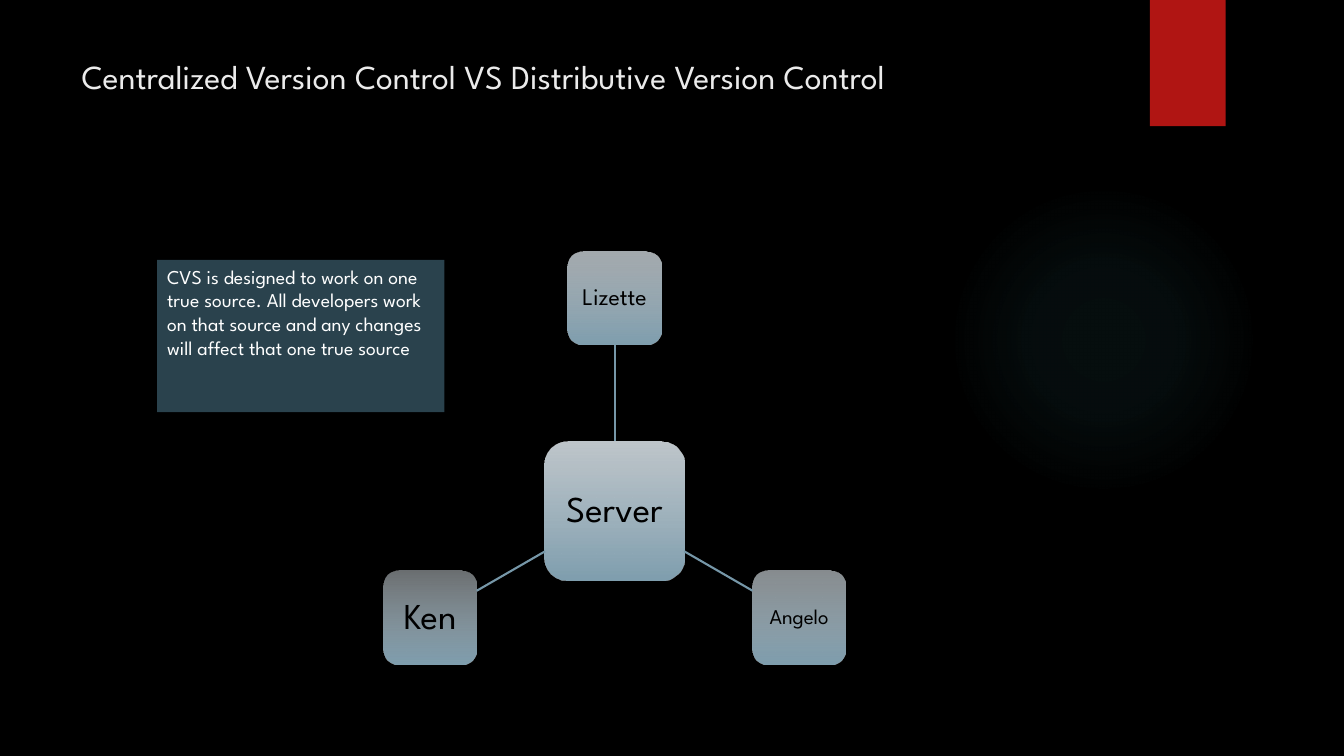
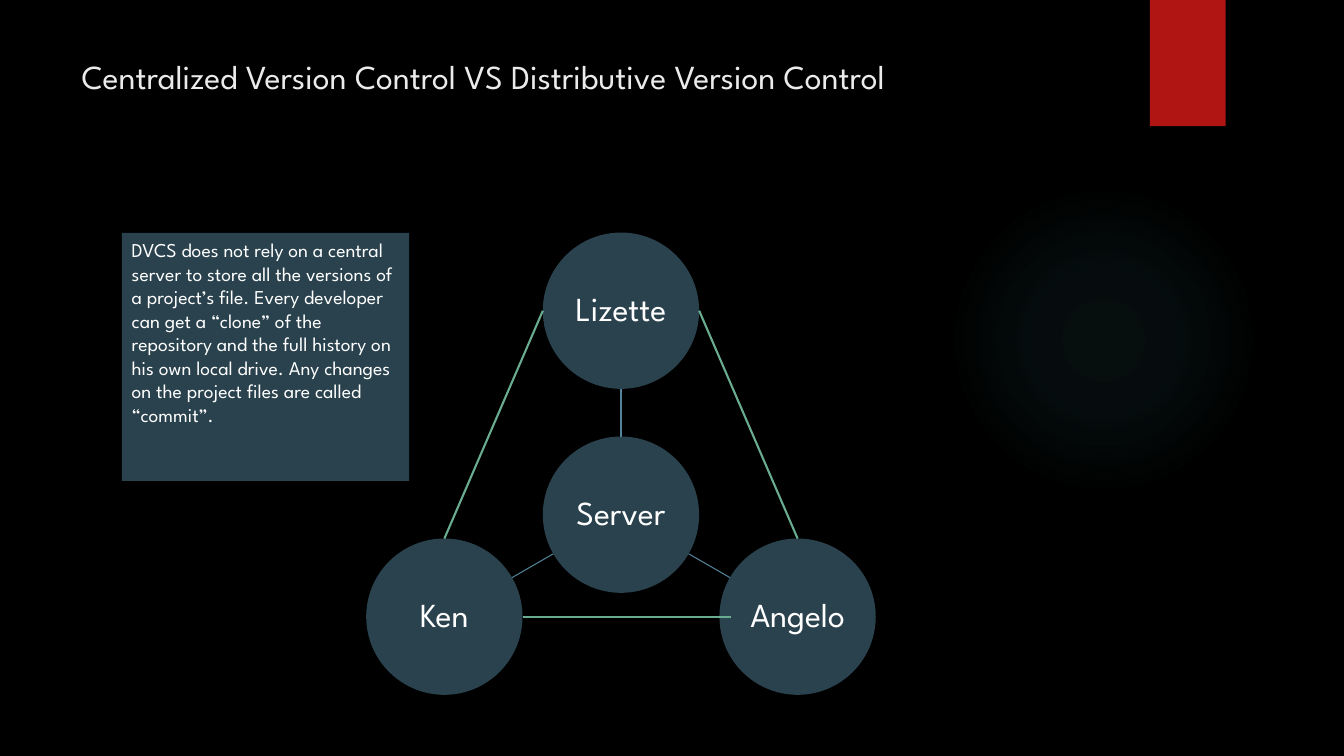
from math import cos, radians, sin

from lxml import etree
from pptx import Presentation
from pptx.dml.color import RGBColor
from pptx.enum.shapes import MSO_CONNECTOR as LINK, MSO_SHAPE as SHAPE
from pptx.enum.text import MSO_ANCHOR as ANCHOR, MSO_AUTO_SIZE as FIT, PP_ALIGN as ALIGN
from pptx.oxml import parse_xml
from pptx.oxml.ns import nsdecls, qn
from pptx.util import Cm, Pt

# Shared look
FONT = "League Spartan"
BLACK, WHITE, TITLE_GREY, RED = "000000", "FFFFFF", "EBEBEB", "B01513"
TEAL, GLOW, MIST, STEEL = "54849A", "50B9C1", "D5DDE2", "81A0B0"
SPOKE, GREEN = "7697A8", "6AAC90"
TITLE = "Centralized Version Control VS Distributive Version Control"
TITLE_PLACE = dict(left=Cm(1.8), top=Cm(1.27), width=Cm(26.14), height=Cm(3.89))
TOP_FRAME = dict(word_wrap=True, auto_size=FIT.NONE, vertical_anchor=ANCHOR.TOP)
NODE_FRAME = dict(word_wrap=True, vertical_anchor=ANCHOR.MIDDLE, margin_left=Cm(0.1),
                  margin_right=Cm(0.1), margin_top=Cm(0.1), margin_bottom=Cm(0.1))
TEAL_FILL = [(0, TEAL, 50)]
GLOW_FILL = [(0, GLOW, 7), (36, GLOW, 6), (69, GLOW, 0)]
CIRCLE_SHADE = ('<a:path path="circle"><a:fillToRect l="50000" t="50000" '
                'r="50000" b="50000"/></a:path>')
DOWN_SHADE = '<a:lin ang="5400000" scaled="0"/>'


def add_box(page, kind, place, stops, shade=DOWN_SHADE):
    """Add a borderless shape filled with (position, colour, opacity) stops."""
    box = page.shapes.add_shape(kind, *[Cm(length) for length in place])
    box.shadow.inherit = False
    box.line.fill.background()
    box.fill.solid()
    colours = [f'<a:srgbClr val="{colour}"><a:alpha val="{opacity * 1000}"/></a:srgbClr>'
               for _, colour, opacity in stops]
    if len(stops) == 1:
        xml = f'<a:solidFill {nsdecls("a")}>{colours[0]}</a:solidFill>'
    else:
        marks = "".join(f'<a:gs pos="{stop[0] * 1000}">{colour}</a:gs>'
                        for stop, colour in zip(stops, colours))
        xml = f'<a:gradFill {nsdecls("a")}><a:gsLst>{marks}</a:gsLst>{shade}</a:gradFill>'
    properties = box._element.spPr
    properties.replace(properties.find(qn("a:solidFill")), parse_xml(xml))
    return box


def write(shape, text, size, colour, frame_format, align=ALIGN.LEFT, spacing=1.0):
    """Put one formatted paragraph into a shape."""
    frame = shape.text_frame
    for name, value in frame_format.items():
        setattr(frame, name, value)
    para = frame.paragraphs[0]
    para.alignment, para.line_spacing = align, spacing
    span = para.add_run()
    span.text = text
    span.font.name, span.font.size = FONT, Pt(size)
    span.font.color.rgb = RGBColor.from_string(colour)


# Each diagram has a hub and three nodes at equal angles around it
ANGLES = dict(Lizette=-90, Angelo=30, Ken=150)
DIAGRAMS = [
    dict(kind=SHAPE.ROUNDED_RECTANGLE, centre=(15.49, 12.88), radius=5.37,
         hub_size=3.51, node_size=2.35, text_colour=BLACK, spoke=(SPOKE, 1.5),
         text_sizes=dict(Server=26, Lizette=17, Angelo=15, Ken=26),
         fills={name: [(0, MIST, opacity), (100, STEEL, 100)] for name, opacity in
                dict(Server=90, Lizette=77, Angelo=63, Ken=50).items()},
         note_place=(3.96, 6.55, 7.24, 3.84),
         note="CVS is designed to work on one true source. All developers work on that "
              "source and any changes will affect that one true source",
         peers=[]),
    dict(kind=SHAPE.OVAL, centre=(15.65, 12.97), radius=5.14,
         hub_size=3.94, node_size=3.94, text_colour=WHITE, spoke=(TEAL, 0.75),
         text_sizes=dict.fromkeys(["Server", *ANGLES], 24),
         fills=dict.fromkeys(["Server", *ANGLES], TEAL_FILL),
         note_place=(3.07, 5.87, 7.24, 6.25),
         note="DVCS does not rely on a central server to store all the versions of a "
              "project’s file. Every developer can get a “clone” of the repository and "
              "the full history on his own local drive. Any changes on the project files "
              "are called “commit”.",
         peers=[(13.68, 7.83, 11.2, 13.57), (13.17, 15.54, 18.42, 15.54),
                (17.62, 7.83, 20.1, 13.57)]),
]

deck = Presentation()
deck.slide_width, deck.slide_height = Cm(33.87), Cm(19.05)
backdrop = deck.slide_master.background.fill
backdrop.solid()
backdrop.fore_color.rgb = RGBColor.from_string(BLACK)

for diagram in DIAGRAMS:
    page = deck.slides.add_slide(deck.slide_layouts[5])

    # Glow, red tab and title
    add_box(page, SHAPE.OVAL, (23.9, 4.65, 7.82, 7.82), GLOW_FILL, CIRCLE_SHADE)
    add_box(page, SHAPE.RECTANGLE, (28.98, 0, 1.91, 3.18), [(0, RED, 100)])
    title = page.shapes.title
    for name, value in TITLE_PLACE.items():
        setattr(title, name, value)
    write(title, TITLE, 24, TITLE_GREY, TOP_FRAME)

    # Hub and nodes, with spokes running from edge to edge
    hub_x, hub_y = diagram["centre"]
    nodes = [("Server", hub_x, hub_y, diagram["hub_size"])]
    lines = []
    for name, angle in ANGLES.items():
        across, down = cos(radians(angle)), sin(radians(angle))
        edge = 1 if diagram["kind"] == SHAPE.OVAL else max(abs(across), abs(down))
        start = diagram["hub_size"] / 2 / edge
        end = diagram["radius"] - diagram["node_size"] / 2 / edge
        nodes.append((name, hub_x + diagram["radius"] * across,
                      hub_y + diagram["radius"] * down, diagram["node_size"]))
        lines.append((hub_x + start * across, hub_y + start * down,
                      hub_x + end * across, hub_y + end * down, *diagram["spoke"]))
    for name, x, y, size in nodes:
        node = add_box(page, diagram["kind"], (x - size / 2, y - size / 2, size, size),
                       diagram["fills"][name])
        write(node, name, diagram["text_sizes"][name], diagram["text_colour"],
              NODE_FRAME, ALIGN.CENTER, 0.9)

    # Explanation
    note = add_box(page, SHAPE.RECTANGLE, diagram["note_place"], TEAL_FILL)
    write(note, diagram["note"], 14, WHITE, TOP_FRAME)

    # Spokes and links between peers
    lines += [(*ends, GREEN, 1.5) for ends in diagram["peers"]]
    for *ends, colour, width in lines:
        line = page.shapes.add_connector(LINK.STRAIGHT, *[Cm(end) for end in ends])
        line.line.color.rgb = RGBColor.from_string(colour)
        line.line.width = Pt(width)
        etree.SubElement(line._element.spPr, qn("a:effectLst"))

deck.save("out.pptx")
